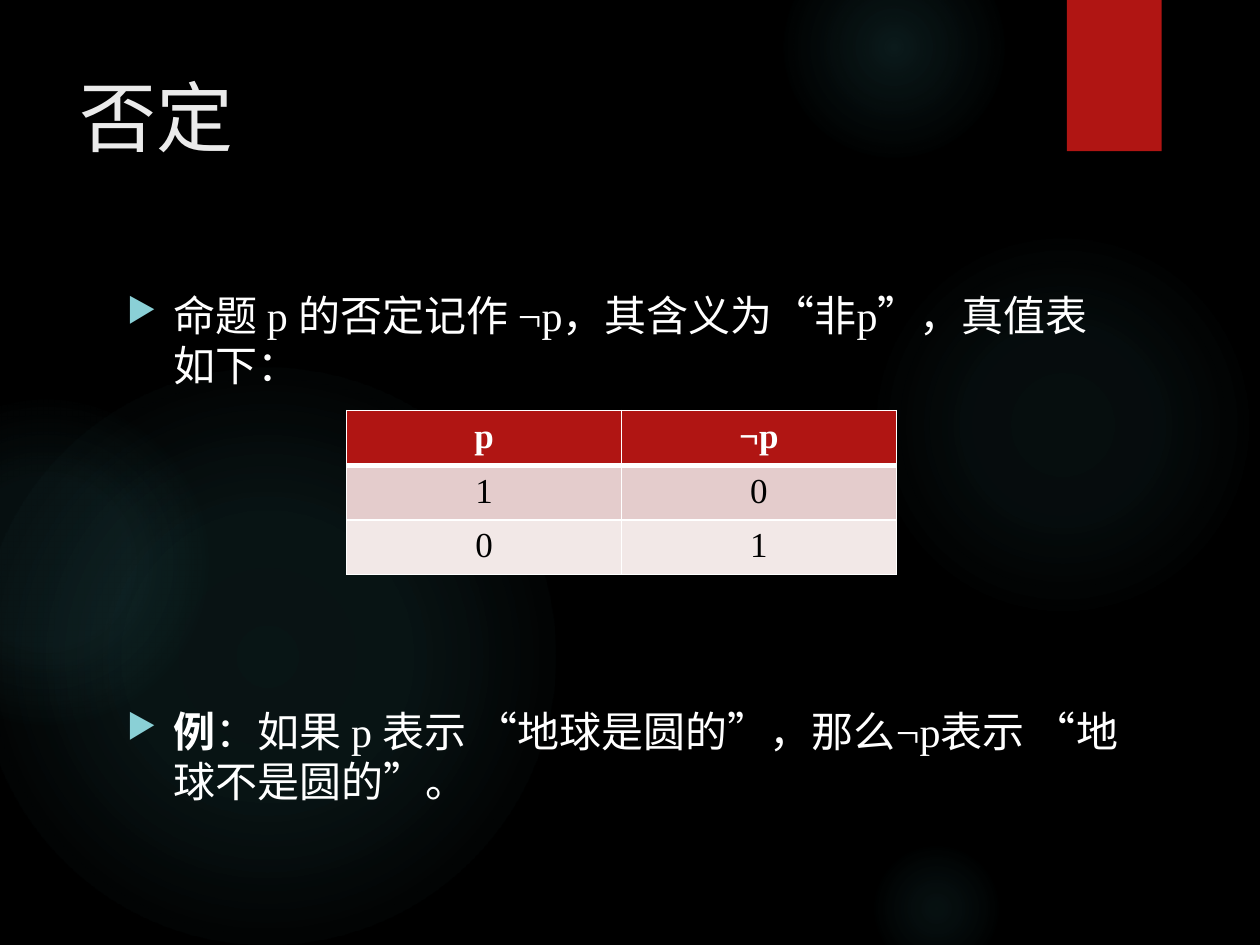
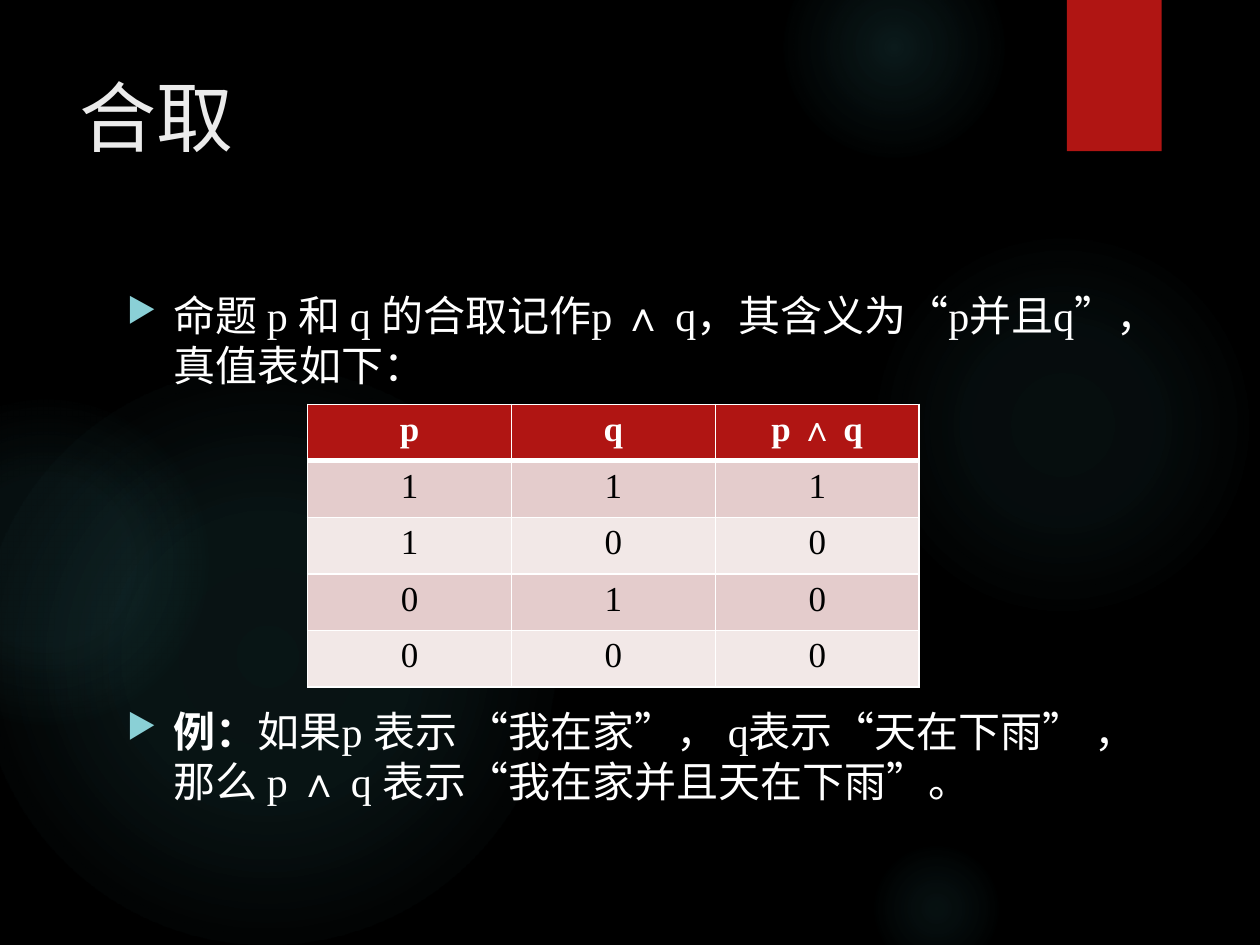
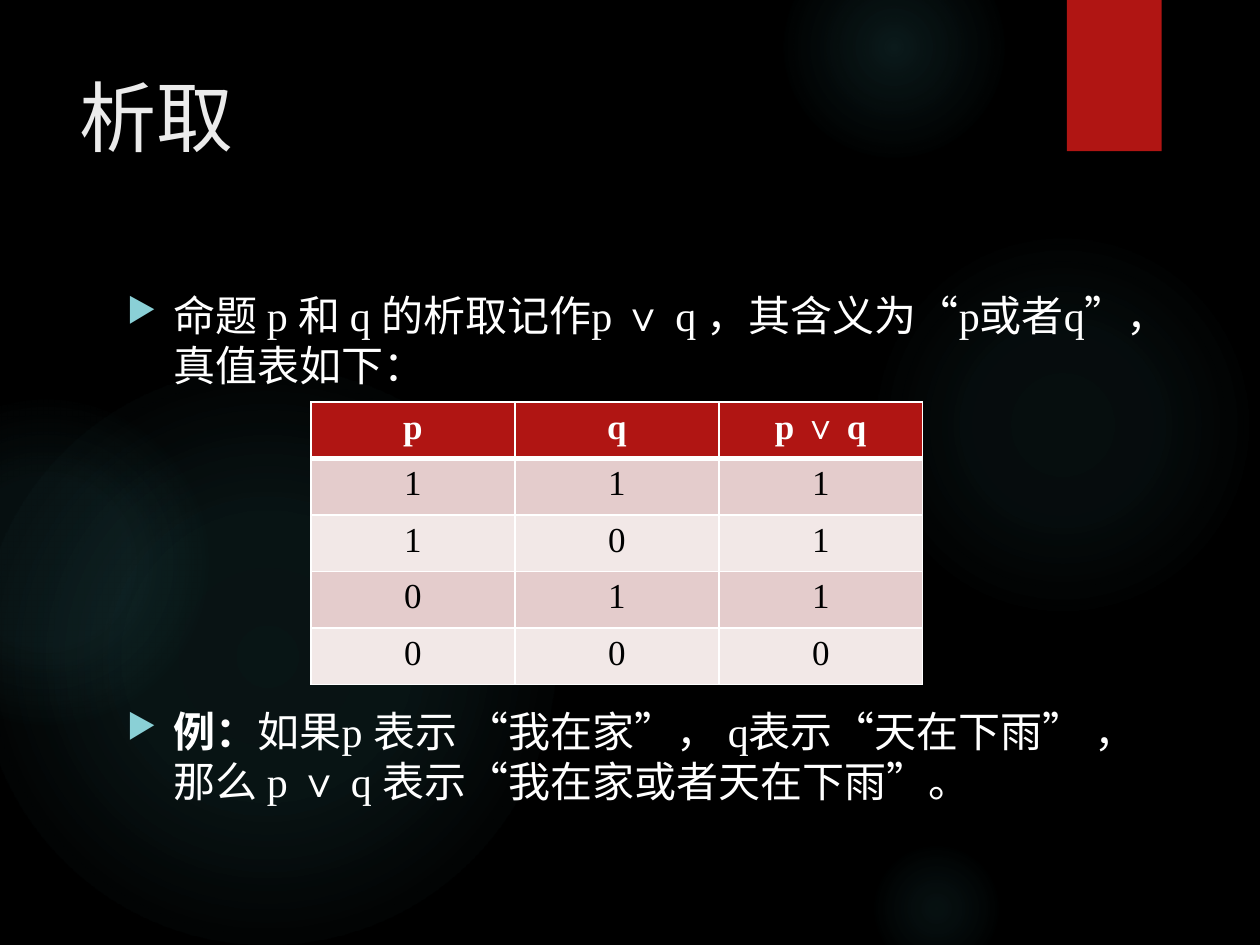
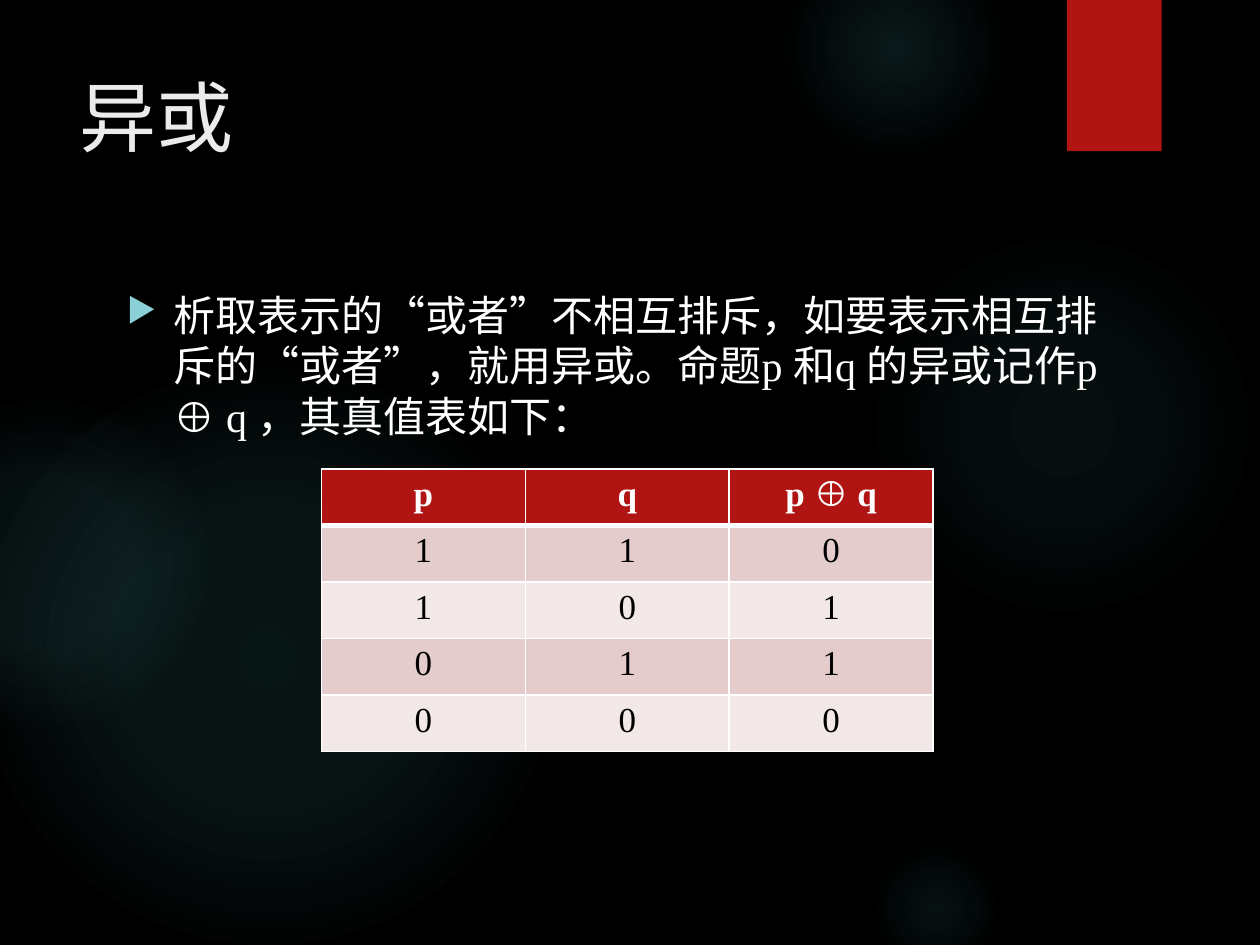
"""Builds four slides on logical connectives, each with its truth table."""
from lxml import etree
from pptx import Presentation
from pptx.dml.color import RGBColor
from pptx.enum import shapes, text
from pptx.oxml import parse_xml
from pptx.oxml.ns import nsdecls, qn
from pptx.util import Cm, Pt

BLACK = RGBColor(0x00, 0x00, 0x00)
WHITE = RGBColor(0xFF, 0xFF, 0xFF)
TITLE = RGBColor(0xEB, 0xEB, 0xEB)
RED = RGBColor(0xB0, 0x15, 0x13)
BANDS = RGBColor(0xE4, 0xCC, 0xCC), RGBColor(0xF2, 0xE8, 0xE7)
GLOW = RGBColor(0x50, 0xB9, 0xC1)
BULLET = RGBColor(0x8A, 0xD0, 0xD6)

PROSE, SYMBOLS = "TeX Gyre Adventor", "Times New Roman"

# Text between bars alternates between the prose font and the symbol font.
CONNECTIVES = [
    {
        "title": "否定",
        "body_width": 20.55,
        "definition": "命题 |p |的否定记作 |¬p|，其含义为“非|p|”，真值表如下：",
        "example": ("例", "：如果 |p |表示 “地球是圆的”，那么|¬p|表示 “地球不是圆的”。"),
        "table_at": (6.99, 8.28),
        "cell": (5.54, 1.04),
        "header": ("p", "¬p"),
        "truth": ("10", "01"),
    },
    {
        "title": "合取",
        "body_width": 20.52,
        "definition": "命题 |p |和 |q |的合取记作|p ∧ q|，其含义为“|p|并且|q|”，真值表如下：",
        "example": ("例：", "如果|p |表示 “我在家”， |q|表示“天在下雨” ，那么 "
                          "|p ∧ q |表示“我在家并且天在下雨”。"),
        "table_at": (6.2, 8.15),
        "cell": (4.11, 1.14),
        "header": ("p", "q", "p ∧ q"),
        "truth": ("111", "100", "010", "000"),
    },
    {
        "title": "析取",
        "body_width": 20.85,
        "definition": "命题 |p |和 |q |的析取记作|p ∨ q |，其含义为“|p|或者|q|”，真值表如下：",
        "example": ("例：", "如果|p |表示 “我在家”， |q|表示“天在下雨” ，那么 "
                          "|p ∨ q |表示“我在家或者天在下雨”。"),
        "table_at": (6.27, 8.1),
        "cell": (4.11, 1.14),
        "header": ("p", "q", "p ∨ q"),
        "truth": ("111", "101", "011", "000"),
    },
    {
        "title": "异或",
        "body_width": 20.62,
        "definition": "析取表示的“或者”不相互排斥，如要表示相互排斥的“或者”，就用异或。命题"
                      "|p |和|q |的异或记作|p ⊕ q |，其真值表如下：",
        "example": None,
        "table_at": (6.48, 9.45),
        "cell": (4.11, 1.14),
        "header": ("p", "q", "p ⊕ q"),
        "truth": ("110", "101", "011", "000"),
    },
]

GLOWS = [
    (17.5, 4.65, 7.82, ((0, 7), (36, 6), (69, 0))),
    (15.8, -1.27, 4.45, ((0, 14), (36, 7), (73, 0))),
    (17.5, 16.94, 2.74, ((0, 9), (36, 5), (66, 0))),
    (-0.43, 7.42, 11.63, ((0, 11), (36, 10), (75, 0))),
    (-2.34, 8.05, 6.55, ((0, 8), (36, 8), (72, 0))),
]
RIBBON = (21.51, 0, 1.91, 3.05)
TITLE_BOX = (1.35, 1.27, 19.61, 3.89)
BODY_LEFT, BODY_TOP, BODY_HEIGHT = 2.31, 5.71, 11.66
BULLET_INDENT = Cm(0.94)
EXAMPLE_GAP = Pt(180)


def add_run(paragraph, words, color, **formats):
    run = paragraph.add_run()
    run.text = words
    run.font.color.rgb = color
    for name, value in formats.items():
        setattr(run.font, name, value)
    run.font._element.set("lang", "zh-CN")


def add_plain_shape(slide, kind, box):
    shape = slide.shapes.add_shape(kind, *map(Cm, box))
    shape.shadow.inherit = False
    shape.line.fill.background()
    return shape


def add_backdrop(slide):
    for left, top, size, fades in GLOWS:
        glow = add_plain_shape(slide, shapes.MSO_SHAPE.OVAL, (left, top, size, size))
        stops = "".join(
            f'<a:gs pos="{place * 1000}"><a:srgbClr val="{GLOW}">'
            f'<a:alpha val="{alpha * 1000}"/></a:srgbClr></a:gs>'
            for place, alpha in fades)
        glow._element.spPr.find(qn("a:prstGeom")).addnext(parse_xml(
            f'<a:gradFill {nsdecls("a")} rotWithShape="1"><a:gsLst>{stops}</a:gsLst>'
            '<a:path path="circle"><a:fillToRect l="50000" t="50000" r="50000" b="50000"/>'
            '</a:path></a:gradFill>'))
    ribbon = add_plain_shape(slide, shapes.MSO_SHAPE.RECTANGLE, RIBBON)
    ribbon.fill.solid()
    ribbon.fill.fore_color.rgb = RED


def add_text_frame(slide, box):
    frame = slide.shapes.add_textbox(*map(Cm, box)).text_frame
    frame.word_wrap = True
    frame.vertical_anchor = text.MSO_ANCHOR.TOP
    return frame


def add_bullet(paragraph, lead, words, gap):
    paragraph.space_before = gap
    props = paragraph._p.get_or_add_pPr()
    props.set("marL", str(BULLET_INDENT))
    props.set("indent", str(-BULLET_INDENT))
    color = etree.SubElement(props, qn("a:buClr"))
    etree.SubElement(color, qn("a:srgbClr"), val=str(BULLET))
    etree.SubElement(props, qn("a:buSzPct"), val="80000")
    etree.SubElement(props, qn("a:buChar"), char="▶")
    if lead:
        add_run(paragraph, lead, WHITE, name=PROSE, size=Pt(24), bold=True)
    for i, part in enumerate(words.split("|")):
        add_run(paragraph, part, WHITE, name=(PROSE, SYMBOLS)[i % 2], size=Pt(24))


def set_borders(cell, widths):
    props = cell._tc.get_or_add_tcPr()
    for i, (side, width) in enumerate(widths.items()):
        props.insert(i, parse_xml(
            f'<a:ln{side} {nsdecls("a")} w="{Pt(width)}"><a:solidFill>'
            f'<a:srgbClr val="{WHITE}"/></a:solidFill></a:ln{side}>'))


def add_truth_table(slide, header, truth, table_at, cell_size):
    width, height = cell_size
    rows = [header, *truth]
    left, top = table_at
    table = slide.shapes.add_table(
        len(rows), len(header), Cm(left), Cm(top),
        Cm(width * len(header)), Cm(height * len(rows))).table
    table.first_row = table.horz_banding = False
    for r, values in enumerate(rows):
        table.rows[r].height = Cm(height)
        for c, value in enumerate(values):
            cell = table.cell(r, c)
            cell.fill.solid()
            cell.fill.fore_color.rgb = BANDS[(r - 1) % 2] if r else RED
            set_borders(cell, {"L": 1, "R": 1, "T": 3 if r == 1 else 1, "B": 1 if r else 3})
            paragraph = cell.text_frame.paragraphs[0]
            paragraph.alignment = text.PP_ALIGN.CENTER
            add_run(paragraph, value, BLACK if r else WHITE,
                    name=SYMBOLS, size=Pt(20), bold=not r)
    for column in table.columns:
        column.width = Cm(width)


def add_connective(prs, item):
    slide = prs.slides.add_slide(prs.slide_layouts[6])
    add_backdrop(slide)
    heading = add_text_frame(slide, TITLE_BOX).paragraphs[0]
    add_run(heading, item["title"], TITLE, name=PROSE, size=Pt(44))
    body = add_text_frame(slide, (BODY_LEFT, BODY_TOP, item["body_width"], BODY_HEIGHT))
    add_bullet(body.paragraphs[0], "", item["definition"], Pt(10))
    if item["example"]:
        add_bullet(body.add_paragraph(), *item["example"], EXAMPLE_GAP)
    add_truth_table(slide, item["header"], item["truth"], item["table_at"], item["cell"])


def main():
    prs = Presentation()
    prs.slide_width, prs.slide_height = Cm(25.4), Cm(19.05)
    backdrop = prs.slide_master.background.fill
    backdrop.solid()
    backdrop.fore_color.rgb = BLACK
    for item in CONNECTIVES:
        add_connective(prs, item)
    prs.save("out.pptx")


if __name__ == "__main__":
    main()
